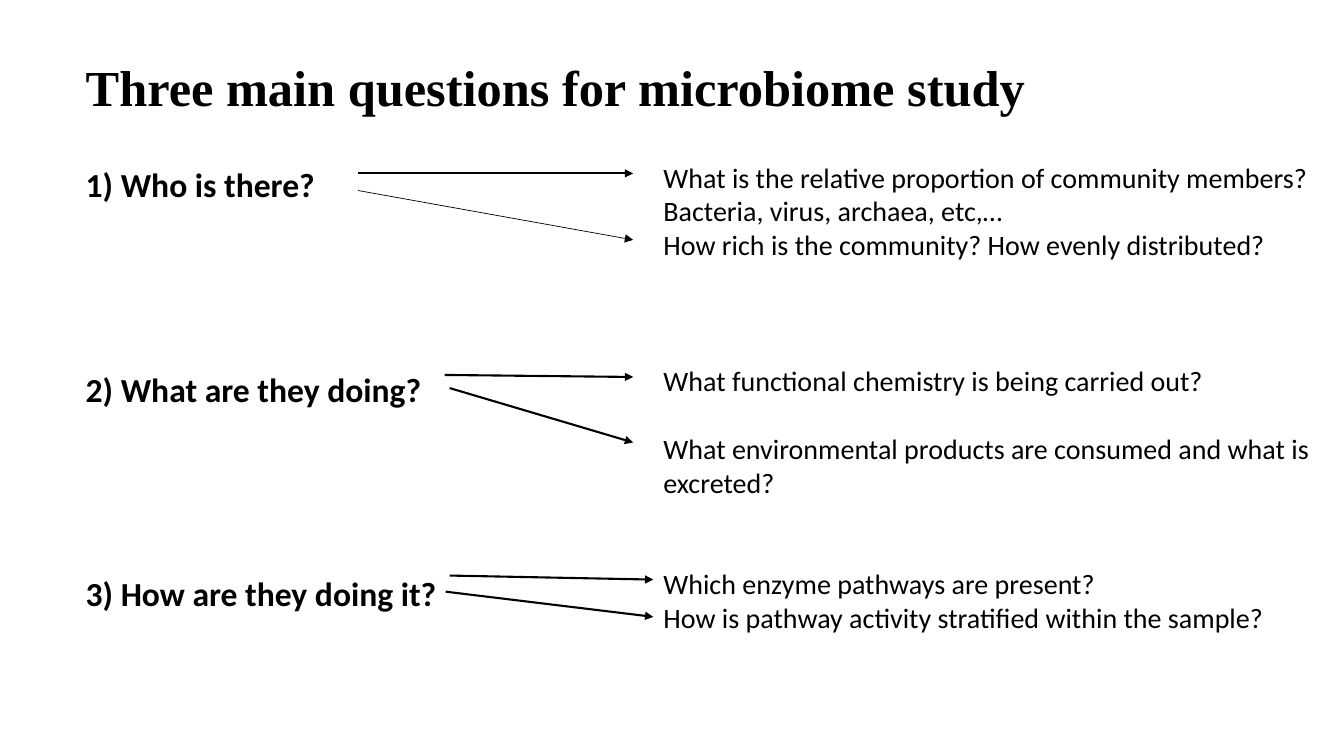
import pptx
import pptx.util
import pptx.dml.color
import pptx.enum.shapes
import pptx.enum.text
import pptx.oxml.ns
from lxml import etree

PX = 9144  # 100 px to the inch
LEAD = 1.22  # line height of the body font, in ems

# Each entry: blank lines above, text
ASKS = [
    (0, "1) Who is there?"),
    (4, "2) What are they doing?"),
    (4, "3) How are they doing it?"),
]
NOTES = [
    (0, "What is the relative proportion of community members?"),
    (0, "Bacteria, virus, archaea, etc,…"),
    (0, "How rich is the community? How evenly distributed?"),
    (3, "What functional chemistry is being carried out?"),
    (1, "What environmental products are consumed and what is excreted?"),
    (2, "Which enzyme pathways are present?"),
    (0, "How is pathway activity stratified within the sample?"),
]
# Start x, start y, end x, end y, width in points
ARROWS = [
    (355, 172, 628, 172, 1.5),
    (355, 189, 628, 238, 0.5),
    (441, 372, 628, 374, 1.5),
    (446, 385, 628, 439, 1.5),
    (446, 571, 648, 575, 1.5),
    (442, 587, 648, 612, 1.5),
]


def px(num):
    return pptx.util.Emu(num * PX)


def paint(hue):
    return pptx.dml.color.RGBColor.from_string(hue)


def place(shape, left, top, width, height):
    shape.left, shape.top = px(left), px(top)
    shape.width, shape.height = px(width), px(height)
    frame = shape.text_frame
    frame.auto_size = pptx.enum.text.MSO_AUTO_SIZE.NONE
    frame.vertical_anchor = pptx.enum.text.MSO_ANCHOR.TOP
    return frame


def style(para, face, size, bold):
    para.alignment = pptx.enum.text.PP_ALIGN.LEFT
    font = para.font
    font.name, font.size, font.bold = face, pptx.util.Pt(size), bold
    font.color.rgb = paint("000000")


def add_title(slide, text, box):
    frame = place(slide.shapes.title, *box)
    frame.word_wrap = True
    frame.text = text
    style(frame.paragraphs[0], "Times New Roman", 36, True)


def add_list(shape, items, box, size, bold=False, wrap=True):
    frame = place(shape, *box)
    frame.word_wrap = wrap
    frame.text = "\n".join(text for _, text in items)
    for para, (gap, _) in zip(frame.paragraphs, items):
        # Plain lines without bullet or indent
        props = para._p.get_or_add_pPr()
        props.set("marL", "0")
        props.set("indent", "0")
        etree.SubElement(props, pptx.oxml.ns.qn("a:buNone"))
        para.space_before = pptx.util.Pt(gap * size * LEAD)
        style(para, "Calibri", size, bold)


def add_arrow(slide, x1, y1, x2, y2, width):
    kind = pptx.enum.shapes.MSO_CONNECTOR.STRAIGHT
    arrow = slide.shapes.add_connector(kind, px(x1), px(y1), px(x2), px(y2))
    arrow.line.color.rgb = paint("000000")
    arrow.line.width = pptx.util.Pt(width)
    # Arrowhead at the end, no shadow
    tail = etree.SubElement(arrow.line._get_or_add_ln(), pptx.oxml.ns.qn("a:tailEnd"))
    tail.set("type", "triangle")
    etree.SubElement(arrow._element.spPr, pptx.oxml.ns.qn("a:effectLst"))


def main():
    deck = pptx.Presentation()
    deck.slide_width, deck.slide_height = px(1333), px(750)
    slide = deck.slides.add_slide(deck.slide_layouts[3])  # title and two lists

    # Title, questions and details
    add_title(slide, "Three main questions for microbiome study", (75, 51, 1231, 71))
    left, right = slide.placeholders[1], slide.placeholders[2]
    add_list(left, ASKS, (75, 158, 371, 454), 24, bold=True, wrap=False)
    add_list(right, NOTES, (648, 154, 672, 481), 20)

    # Arrows from questions to details
    for arrow in ARROWS:
        add_arrow(slide, *arrow)

    deck.save("out.pptx")


if __name__ == "__main__":
    main()
